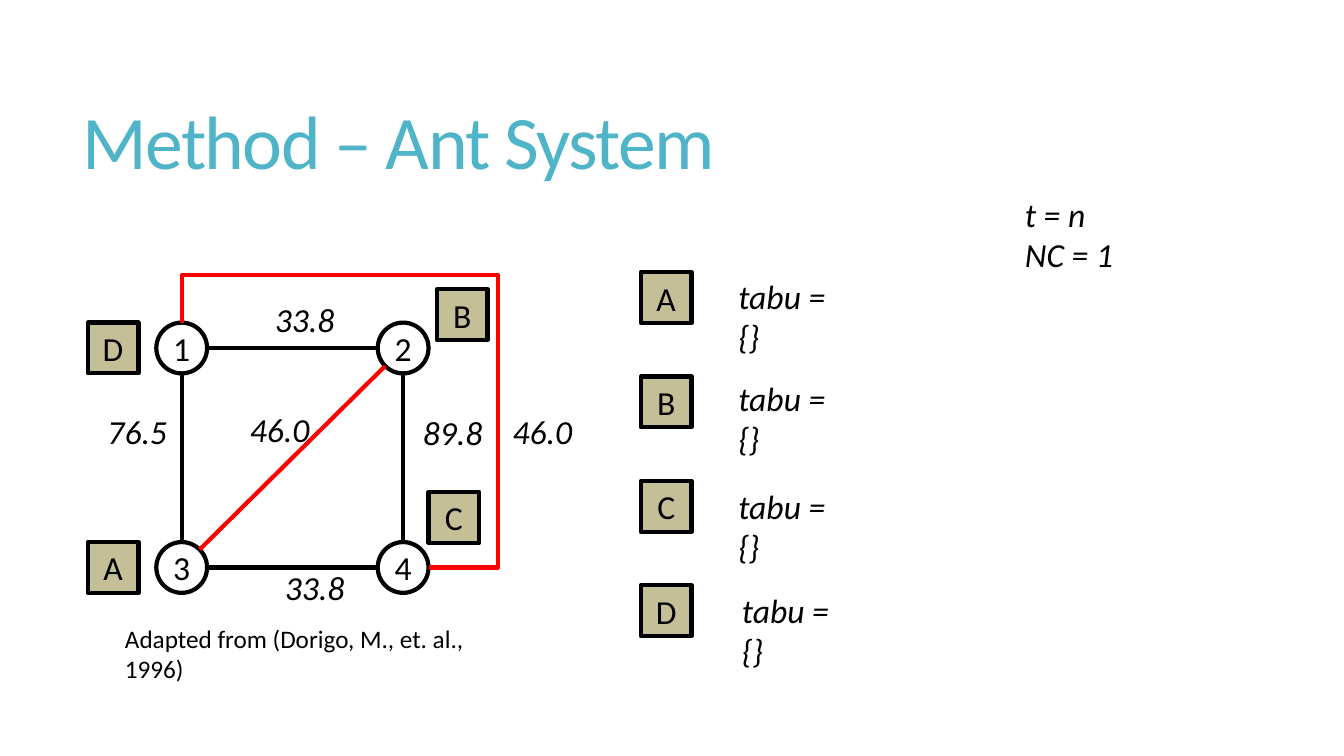
from lxml.etree import SubElement
from pptx import Presentation
from pptx.dml.color import RGBColor
from pptx.enum.shapes import MSO_CONNECTOR, MSO_SHAPE
from pptx.enum.text import MSO_ANCHOR, MSO_AUTO_SIZE, PP_ALIGN
from pptx.oxml.ns import qn
from pptx.util import Cm, Pt

COLORS = {"title": "50B4C8", "ink": "000000", "path": "FF0000", "ant": "C5BF97"}
FONT = "Calibri"
SIDE = 1.28
LEFT, RIGHT, TOP, BOTTOM = 4.58, 10.16, 8.77, 14.3


def color(name):
    return RGBColor.from_string(COLORS[name])


def style(p, size, name="ink", italic=False):
    p.font.name, p.font.size, p.font.italic = FONT, Pt(size), italic
    p.font.color.rgb = color(name)


def add_title(s, text):
    sp = s.shapes.title
    sp.left, sp.top, sp.width, sp.height = Cm(1.83), Cm(1.4), Cm(29.92), Cm(4.6)
    tf = sp.text_frame
    tf.text = text
    tf.auto_size = MSO_AUTO_SIZE.NONE
    tf.vertical_anchor = MSO_ANCHOR.MIDDLE
    p = tf.paragraphs[0]
    p.alignment, p.line_spacing = PP_ALIGN.LEFT, 0.85
    style(p, 54, "title")
    p.runs[0].font._element.set("spc", "-120")


def add_text(s, text, x, y, w, h=1.28, size=24, italic=True):
    tf = s.shapes.add_textbox(Cm(x), Cm(y), Cm(w), Cm(h)).text_frame
    tf.word_wrap = True
    tf.text = text
    for p in tf.paragraphs:
        style(p, size, italic=italic)


def add_symbol(s, kind, text, x, y, fill=None):
    sp = s.shapes.add_shape(kind, Cm(x), Cm(y), Cm(SIDE), Cm(SIDE))
    sp.shadow.inherit = False
    if fill:
        sp.fill.solid()
        sp.fill.fore_color.rgb = color(fill)
    else:
        sp.fill.background()
    sp.line.color.rgb, sp.line.width = color("ink"), Pt(3)
    tf = sp.text_frame
    tf.margin_left = tf.margin_right = tf.margin_top = tf.margin_bottom = 0
    tf.vertical_anchor = MSO_ANCHOR.MIDDLE
    tf.text = text
    tf.paragraphs[0].alignment = PP_ALIGN.CENTER
    style(tf.paragraphs[0], 24)


def add_node(s, text, cx, cy):
    add_symbol(s, MSO_SHAPE.OVAL, text, cx - SIDE / 2, cy - SIDE / 2)


def add_ant(s, text, x, y):
    add_symbol(s, MSO_SHAPE.RECTANGLE, text, x, y, "ant")


def add_edge(s, x1, y1, x2, y2, name="ink", kind=MSO_CONNECTOR.STRAIGHT):
    c = s.shapes.add_connector(kind, Cm(x1), Cm(y1), Cm(x2), Cm(y2))
    c.line.color.rgb, c.line.width = color(name), Pt(3)
    SubElement(c._element.spPr, qn("a:effectLst"))
    return c


def add_detour(s, x1, y1, x2, y2):
    """Bent edge that leaves upwards, passes on the right and comes back."""
    cx, cy, w, h = (x1 + x2) / 2, (y1 + y2) / 2, y2 - y1, x2 - x1
    c = add_edge(s, cx + w / 2, cy - h / 2, cx - w / 2, cy + h / 2,
                 "path", MSO_CONNECTOR.ELBOW)
    spPr = c._element.spPr
    spPr.find(qn("a:xfrm")).set("rot", str(270 * 60000))
    geom = spPr.find(qn("a:prstGeom"))
    geom.set("prst", "bentConnector4")
    guides = geom.find(qn("a:avLst"))
    for name, value in (("adj1", -19400), ("adj2", 128300)):
        SubElement(guides, qn("a:gd"), name=name, fmla=f"val {value}")


def add_graph(s):
    r = SIDE / 2
    d = r * 0.71
    for text, x, y in (("1", LEFT, TOP), ("2", RIGHT, TOP),
                       ("3", LEFT, BOTTOM), ("4", RIGHT, BOTTOM)):
        add_node(s, text, x, y)
    for y in (TOP, BOTTOM):
        add_edge(s, LEFT + r, y, RIGHT - r, y)
    for x in (LEFT, RIGHT):
        add_edge(s, x, BOTTOM - r, x, TOP + r)
    add_edge(s, LEFT + d, BOTTOM - d, RIGHT - d, TOP + d, "path")
    add_detour(s, LEFT, TOP - r, RIGHT + r, BOTTOM)
    for text, x, y in (("33.8", 6.68, 7.42), ("46.0", 6.05, 10.19),
                       ("76.5", 2.46, 10.24), ("89.8", 10.41, 10.26),
                       ("33.8", 6.93, 14.17), ("46.0", 12.67, 10.24)):
        add_text(s, text, x, y, 2.2)
    for text, x, y in (("D", 2.21, TOP - r), ("A", 2.21, BOTTOM - r),
                       ("C", 10.8, 12.4), ("B", 11.01, 7.29)):
        add_ant(s, text, x, y)
    add_text(s, "Adapted from (Dorigo, M., et. al., 1996)", 2.9, 15.57, 10.4, 1.03,
             size=18, italic=False)


def add_tabu_lists(s):
    rows = (("A", 18.36, 6.83), ("B", 18.36, 9.4),
            ("C", 18.36, 12.12), ("D", 18.45, 14.73))
    for i, (ant, x, y) in enumerate(rows):
        add_ant(s, ant, 16.15, 6.86 + 2.63 * i)
        add_text(s, "tabu = {}", x, y, 3.35)


def main():
    prs = Presentation()
    prs.slide_width, prs.slide_height = Cm(33.87), Cm(19.05)
    s = prs.slides.add_slide(prs.slide_layouts[5])
    add_title(s, "Method – Ant System")
    add_graph(s)
    add_tabu_lists(s)
    add_text(s, "t = n\nNC = 1", 25.58, 4.75, 3, 2.31)
    prs.save("out.pptx")


if __name__ == "__main__":
    main()
